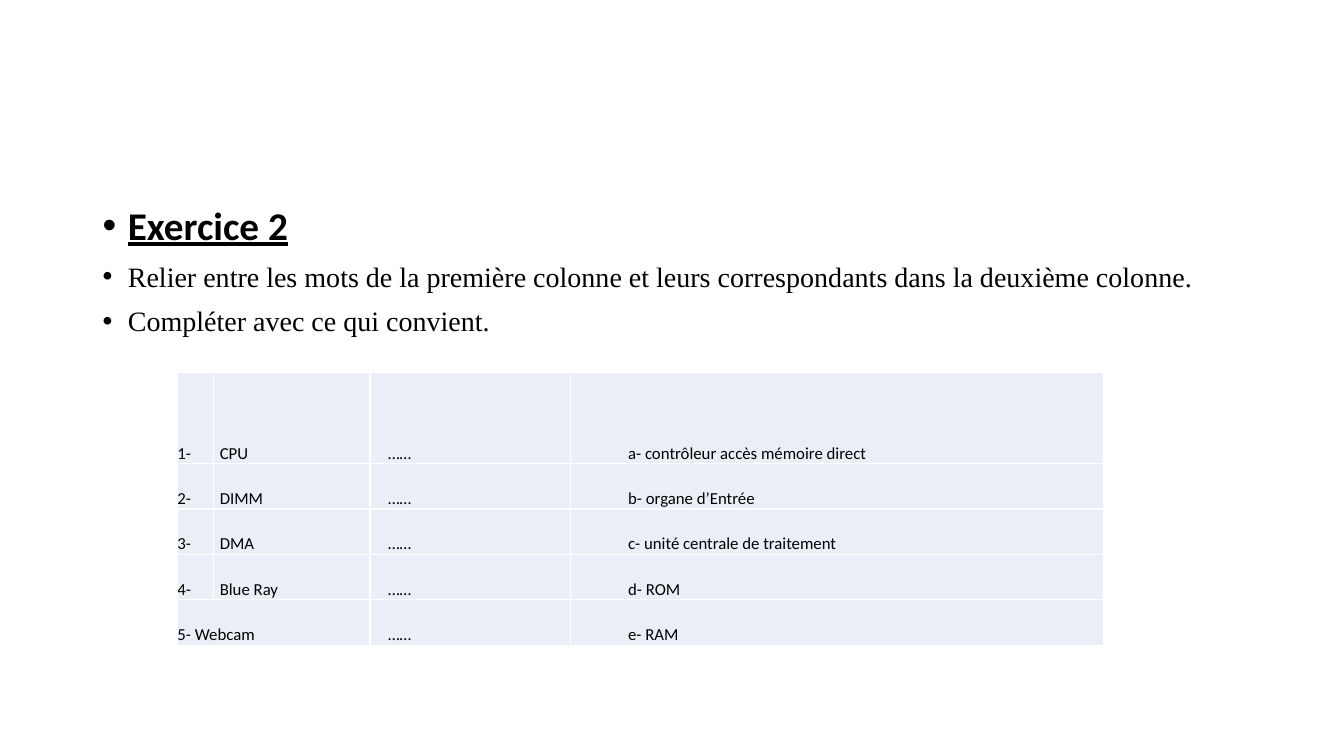
from dataclasses import dataclass

from lxml.etree import SubElement
from pptx import Presentation
from pptx.dml.color import RGBColor
from pptx.enum.text import MSO_ANCHOR
from pptx.oxml.ns import qn
from pptx.util import Inches, Pt

BLACK = RGBColor(0x00, 0x00, 0x00)
WHITE = RGBColor(0xFF, 0xFF, 0xFF)
PALE_BLUE = RGBColor(0xEA, 0xEF, 0xF7)


@dataclass
class Bullet:
    text: str
    font: dict


@dataclass
class Column:
    width: float
    indent: float


@dataclass
class Match:
    number: str
    term: str
    definition: str


INSTRUCTION_FONT = {"name": "Times New Roman", "size": Pt(20)}
BULLETS = [
    Bullet("Exercice 2", {"name": "Calibri", "size": Pt(28), "bold": True, "underline": True}),
    Bullet("Relier entre les mots de la première colonne et leurs correspondants "
           "dans la deuxième colonne.", INSTRUCTION_FONT),
    Bullet("Compléter avec ce qui convient.", INSTRUCTION_FONT),
]

COLUMNS = [Column(0.36, 0), Column(1.55, 0.06), Column(1.99, 0.18), Column(5.29, 0.57)]
FIRST_ROW_HEIGHT, ROW_HEIGHT = 0.91, 0.45
ANSWER_BLANK = "……"
MATCHES = [
    Match("1-", "CPU", "a- contrôleur accès mémoire direct"),
    Match("2-", "DIMM", "b- organe d’Entrée"),
    Match("3-", "DMA", "c- unité centrale de traitement"),
    Match("4-", "Blue Ray", "d- ROM"),
    Match("5- Webcam", "", "e- RAM"),
]
CELL_FONT = {"name": "Calibri", "size": Pt(12), "bold": False}
CELL_FORMAT = {"margin_left": 0, "margin_right": 0, "margin_top": 0, "margin_bottom": 0,
               "vertical_anchor": MSO_ANCHOR.BOTTOM}
BULLET_SPACING = {"line_spacing": 0.9, "space_before": Pt(10)}
CELL_SPACING = {"line_spacing": 1.15, "space_after": Pt(10)}


def apply_format(target, values: dict) -> None:
    for name, value in values.items():
        setattr(target, name, value)


def write_span(para, text: str, font: dict) -> None:
    span = para.add_run()
    span.text = text
    apply_format(span.font, font)
    span.font.color.rgb = BLACK


def add_bullets(page, bullets: list[Bullet]) -> None:
    box = page.shapes.add_textbox(Inches(0.92), Inches(2), Inches(11.5), Inches(4.76))
    frame = box.text_frame
    frame.word_wrap = True
    for index, bullet in enumerate(bullets):
        para = frame.add_paragraph() if index else frame.paragraphs[0]
        apply_format(para, BULLET_SPACING)
        properties = para._p.get_or_add_pPr()
        properties.set("marL", str(Inches(0.25)))
        properties.set("indent", str(Inches(-0.25)))
        SubElement(properties, qn("a:buFont"), typeface="Arial")
        SubElement(properties, qn("a:buChar"), char="•")
        write_span(para, bullet.text, bullet.font)


def add_borders(cell) -> None:
    properties = cell._tc.get_or_add_tcPr()
    for side in ("a:lnL", "a:lnR", "a:lnT", "a:lnB"):
        line = SubElement(properties, qn(side), w=str(Pt(1)))
        fill = SubElement(line, qn("a:solidFill"))
        SubElement(fill, qn("a:srgbClr"), val=str(WHITE))


def style_cell(cell) -> None:
    add_borders(cell)
    apply_format(cell, CELL_FORMAT)
    cell.fill.solid()
    cell.fill.fore_color.rgb = PALE_BLUE


def fill_cell(cell, text: str, indent: float) -> None:
    para = cell.text_frame.paragraphs[0]
    apply_format(para, CELL_SPACING)
    para._p.get_or_add_pPr().set("marL", str(Inches(indent)))
    write_span(para, text, CELL_FONT)


def add_match_table(page, matches: list[Match]) -> None:
    width = sum(column.width for column in COLUMNS)
    height = FIRST_ROW_HEIGHT + ROW_HEIGHT * (len(matches) - 1)
    table = page.shapes.add_table(len(matches), len(COLUMNS), Inches(1.76), Inches(3.69),
                                  Inches(width), Inches(height)).table
    apply_format(table, {"first_row": False, "horz_banding": False})
    for index, column in enumerate(COLUMNS):
        table.columns[index].width = Inches(column.width)
    for row, match in enumerate(matches):
        table.rows[row].height = Inches(ROW_HEIGHT if row else FIRST_ROW_HEIGHT)
        if not match.term:
            table.cell(row, 0).merge(table.cell(row, 1))
        texts = (match.number, match.term, ANSWER_BLANK, match.definition)
        for index, (text, column) in enumerate(zip(texts, COLUMNS)):
            cell = table.cell(row, index)
            style_cell(cell)
            if text:
                fill_cell(cell, text, column.indent)


def main() -> None:
    deck = Presentation()
    apply_format(deck, {"slide_width": Inches(13.33), "slide_height": Inches(7.5)})
    page = deck.slides.add_slide(deck.slide_layouts[6])
    add_bullets(page, BULLETS)
    add_match_table(page, MATCHES)
    deck.save("out.pptx")


if __name__ == "__main__":
    main()
